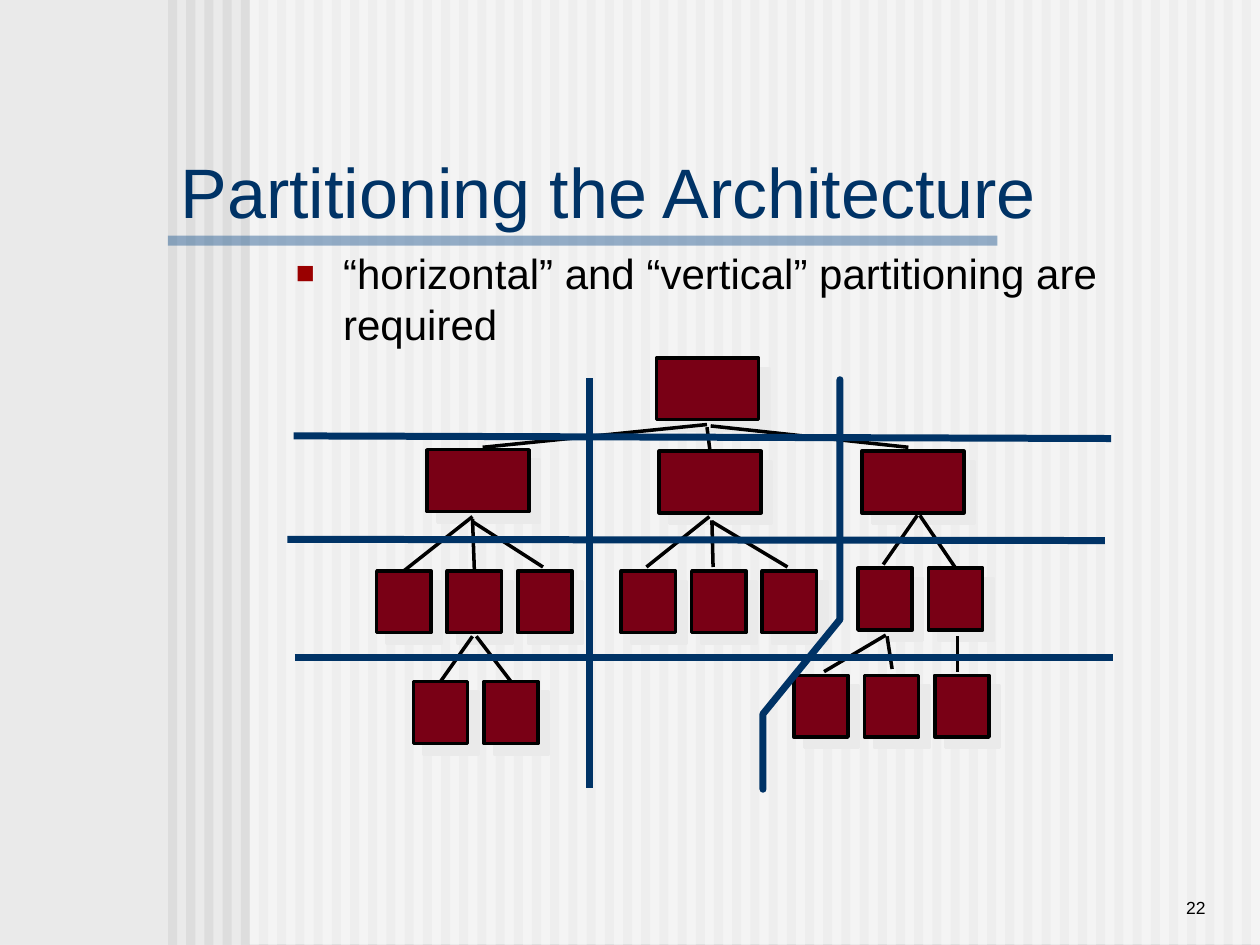
from lxml import etree
from pptx import Presentation
from pptx.dml.color import RGBColor
from pptx.enum.shapes import MSO_CONNECTOR, MSO_SHAPE
from pptx.enum.text import MSO_ANCHOR, MSO_AUTO_SIZE, PP_ALIGN
from pptx.oxml.ns import qn
from pptx.util import Pt

RECT = MSO_SHAPE.RECTANGLE
STRAIGHT = MSO_CONNECTOR.STRAIGHT
LEFT, RIGHT = PP_ALIGN.LEFT, PP_ALIGN.RIGHT
TOP, MIDDLE, BOTTOM = MSO_ANCHOR.TOP, MSO_ANCHOR.MIDDLE, MSO_ANCHOR.BOTTOM
FIXED = MSO_AUTO_SIZE.NONE

NAVY, BLACK, MAROON, PALE = "003366", "000000", "790015", "EAEAEA"
WIDE, SMALL, TALL, PITCH = 58.3, 31, 35.3, 40.3
NEAR = 2

BIG = [(375.1, 204.5), (244.1, 257), (376.6, 257.8), (492.5, 257.8)]
ROWS = [(215.3, 326.2, 3), (355, 326.2, 3), (490.3, 324.7, 2),
        (453.6, 385.9, 3), (236.2, 389.5, 2)]
LINKS = [
    (404, 242.6, 275.8, 255.6), (404, 244.1, 404, 256.3),
    (406.1, 243.4, 519.1, 255.6),
    (270, 295.2, 230.4, 324.7), (270, 296.6, 270, 324.7),
    (270, 298.1, 310.3, 324),
    (405.4, 295.2, 369.4, 324), (406.8, 297.4, 407.5, 324),
    (406.8, 298.1, 450, 324),
    (524.2, 294.5, 504.7, 322.6), (525.6, 294.5, 546.5, 324),
    (506.2, 362.9, 470.9, 383.8), (506.9, 363.6, 509.8, 382.3),
    (547.2, 363.6, 547.2, 383.8),
    (270, 363.6, 252.7, 388.8), (272.2, 363.6, 292.3, 389.5),
]
CUTS = [(164.2, 308.2, 631.4, 308.9), (168.5, 375.8, 635.8, 375.8),
        (337, 216, 337, 450), (167.8, 249.1, 635, 250.6)]
BEND = [(480.2, 216.7), (480.2, 353.5), (436.3, 408.2), (436.3, 451.4)]


def paint(form, color):
    """Set a solid colour on a fill."""
    form.solid()
    form.fore_color.rgb = RGBColor.from_string(color)


def add_sub(parent, tag, **attrs):
    """Add a drawing element with attributes below a parent."""
    return etree.SubElement(parent, qn(tag), attrs)


def add_rect(slide, x, y, w, h, color, alpha=None):
    """Add a plain rectangle, see-through when alpha is given."""
    shape = slide.shapes.add_shape(RECT, Pt(x), Pt(y), Pt(w), Pt(h))
    paint(shape.fill, color)
    shape.line.fill.background()
    shape.shadow.inherit = False
    if alpha:
        tone = shape._element.spPr.find(".//" + qn("a:srgbClr"))
        add_sub(tone, "a:alpha", val=str(alpha * 1000))
    return shape


def add_box(slide, x, y, w):
    """Add a module box with an outline and a hard shadow."""
    box = add_rect(slide, x, y, w, TALL, MAROON)
    paint(box.line.fill, BLACK)
    box.line.width = Pt(2)
    glow = box._element.spPr.find(qn("a:effectLst"))
    cast = add_sub(glow, "a:outerShdw", dist=str(Pt(8.5)), dir="2700000",
                   algn="ctr", rotWithShape="0")
    add_sub(cast, "a:srgbClr", val=PALE)
    return box


def add_line(slide, ends, color, width):
    """Add a straight connector between two points."""
    line = slide.shapes.add_connector(STRAIGHT, *map(Pt, ends))
    paint(line.line.fill, color)
    line.line.width = Pt(width)
    add_sub(line._element.spPr, "a:effectLst")
    return line


def is_near(box, x, y, edge):
    """Tell whether a point lies at the middle of a box edge."""
    mid = box.left + box.width / 2
    return abs(x - mid) <= Pt(NEAR) and abs(y - edge) <= Pt(NEAR)


def add_link(slide, boxes, ends):
    """Add a tree link, joined to the boxes that it meets."""
    link = add_line(slide, ends, BLACK, 2)
    x, y, to_x, to_y = map(Pt, ends)
    for box in boxes:
        if is_near(box, x, y, box.top + box.height):
            link.begin_connect(box, 2)
        if is_near(box, to_x, to_y, box.top):
            link.end_connect(box, 0)


def add_bend(slide):
    """Add the bent cut on the right as an open path."""
    pen = slide.shapes.build_freeform(*BEND[0], scale=Pt(1))
    pen.add_line_segments(BEND[1:], close=False)
    bend = pen.convert_to_shape()
    bend.fill.background()
    paint(bend.line.fill, NAVY)
    bend.line.width = Pt(4)
    bend.line._ln.set("cap", "rnd")
    bend.shadow.inherit = False


def set_text(shape, text, size, color, anchor, align):
    """Write one formatted paragraph and return it."""
    frame = shape.text_frame
    frame.word_wrap = True
    frame.auto_size = FIXED
    frame.vertical_anchor = anchor
    para = frame.paragraphs[0]
    para.text = text
    para.alignment = align
    return para, size, color


def set_font(para, size, color):
    """Set the font of a paragraph."""
    para.font.name = "Arial"
    para.font.size = Pt(size)
    paint(para.font.fill, color)


def add_mark(para):
    """Give a paragraph a square bullet and a hanging indent."""
    props = para._p.get_or_add_pPr()
    props.set("marL", str(Pt(27)))
    props.set("indent", str(-Pt(27)))
    tone = add_sub(props, "a:buClr")
    add_sub(tone, "a:srgbClr", val="9A0000")
    add_sub(props, "a:buSzPct", val="75000")
    add_sub(props, "a:buFont", typeface="Arial")
    add_sub(props, "a:buChar", char="■")


def add_text(slide, place, text, size, anchor, align, mark=False):
    """Add a text box with one paragraph."""
    box = slide.shapes.add_textbox(*map(Pt, place))
    para = set_text(box, text, size, BLACK, anchor, align)[0]
    if mark:
        add_mark(para)
    set_font(para, size, BLACK)


def add_title(slide, text):
    """Place the title above the backdrop."""
    title = slide.shapes.title
    title.left, title.top = Pt(96), Pt(96)
    title.width, title.height = Pt(534), Pt(26)
    para = set_text(title, text, 40, NAVY, MIDDLE, LEFT)[0]
    set_font(para, 40, NAVY)
    slide.shapes._spTree.append(title._element)


def add_back(slide):
    """Draw the striped backdrop and the title rule."""
    paint(slide.background.fill, PALE)
    for i in range(60):
        add_rect(slide, 96 + 10.4 * i, 0, 5.2, 540, "DDDDDD")
    add_rect(slide, 142.6, 0, 577.4, 539.5, "FFFFFF", 50)
    add_rect(slide, 96, 134.6, 474, 5.8, "336699", 50)


def add_tree(slide):
    """Draw the module tree and the cuts through it."""
    boxes = [add_box(slide, x, y, WIDE) for x, y in BIG]
    boxes += [add_box(slide, x + PITCH * i, y, SMALL)
              for x, y, count in ROWS for i in range(count)]
    for ends in LINKS:
        add_link(slide, boxes, ends)
    for ends in CUTS:
        add_line(slide, ends, NAVY, 4)
    add_bend(slide)


def main():
    """Build the slide and save it."""
    deck = Presentation()
    deck.slide_width, deck.slide_height = Pt(720), Pt(540)
    slide = deck.slides.add_slide(deck.slide_layouts[5])
    add_back(slide)
    add_title(slide, "Partitioning the Architecture")
    add_text(slide, (162, 138, 480, 351),
             "“horizontal” and “vertical” partitioning are required",
             24, TOP, LEFT, mark=True)
    add_tree(slide)
    add_text(slide, (594, 492, 102, 36), "22", 10, BOTTOM, RIGHT)
    deck.save("out.pptx")


if __name__ == "__main__":
    main()
